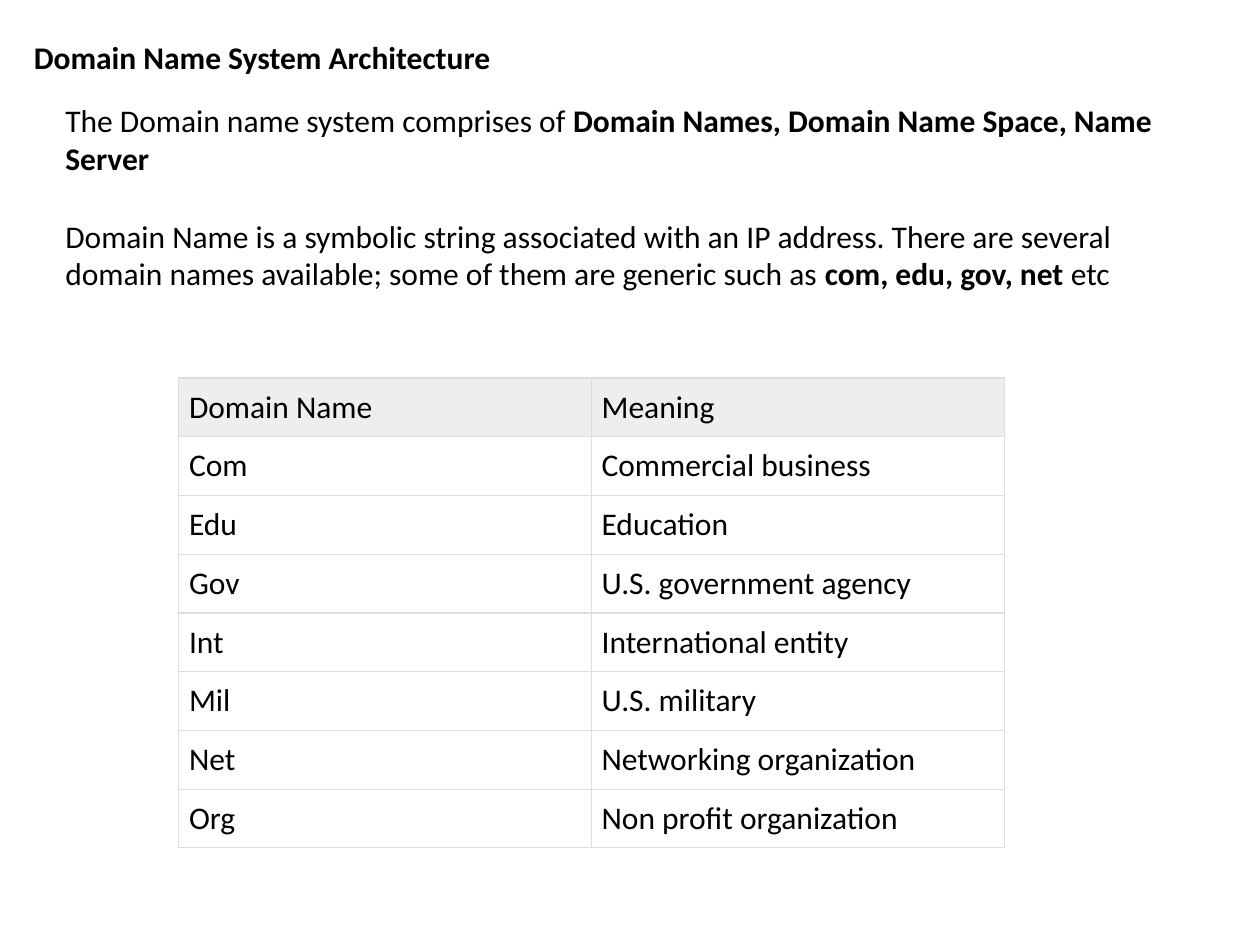
from lxml import etree
from pptx import Presentation
from pptx.dml.color import RGBColor
from pptx.enum.text import MSO_AUTO_SIZE
from pptx.oxml.ns import qn
from pptx.util import Inches, Pt

FIT_SHAPE = MSO_AUTO_SIZE.SHAPE_TO_FIT_TEXT
FONT = {"name": "Calibri", "size": Pt(18)}
BLACK, HEADER_FILL, BORDER = "000000", "EEEEEE", "DDDDDD"

# (left, top, width, height), wrap, runs of (text, bold)
TEXTS = [
    ((0.17, 0.25, 3.86, 0.4), False, [("Domain Name System Architecture", True)]),
    ((0.42, 0.75, 9.08, 0.71), True, [
        ("The Domain name system comprises of ", False),
        ("Domain Names, Domain Name Space, Name Server", True)]),
    ((0.42, 1.67, 8.99, 0.71), True, [
        ("Domain Name is a symbolic string associated with an IP address. "
         "There are several domain names available; some of them are generic such as ", False),
        ("com, edu, gov, net ", True),
        ("etc", False)]),
]

DOMAINS = [
    ("Domain Name", "Meaning"),
    ("Com", "Commercial business"),
    ("Edu", "Education"),
    ("Gov", "U.S. government agency"),
    ("Int", "International entity"),
    ("Mil", "U.S. military"),
    ("Net", "Networking organization"),
    ("Org", "Non profit organization"),
]
TABLE_BOX = (1.42, 3, 6.55, 3.73)
CELL_MARGIN = Inches(0.08)


def rgb(color):
    return RGBColor.from_string(color)


def add_run(p, text, bold=False):
    r = p.add_run()
    r.text = text
    for name, value in {**FONT, "bold": bold}.items():
        setattr(r.font, name, value)
    r.font.color.rgb = rgb(BLACK)


def set_borders(cell):
    tc_pr = cell._tc.get_or_add_tcPr()
    for i, side in enumerate(("lnL", "lnR", "lnT", "lnB")):
        ln = etree.Element(qn(f"a:{side}"), w=str(Pt(0.75)))
        fill = etree.SubElement(ln, qn("a:solidFill"))
        etree.SubElement(fill, qn("a:srgbClr"), val=BORDER)
        tc_pr.insert(i, ln)  # borders come before the cell fill


def add_text(s, box, wrap, runs):
    tf = s.shapes.add_textbox(*map(Inches, box)).text_frame
    tf.word_wrap = wrap
    tf.auto_size = FIT_SHAPE
    for text, bold in runs:
        add_run(tf.paragraphs[0], text, bold)


def add_domain_table(s):
    table = s.shapes.add_table(len(DOMAINS), len(DOMAINS[0]), *map(Inches, TABLE_BOX)).table
    table.horz_banding = False
    table.first_row = False
    for i, row in enumerate(DOMAINS):
        for j, text in enumerate(row):
            cell = table.cell(i, j)
            for side in ("left", "right", "top", "bottom"):
                setattr(cell, f"margin_{side}", CELL_MARGIN)
            if i == 0:
                cell.fill.solid()
                cell.fill.fore_color.rgb = rgb(HEADER_FILL)
            else:
                cell.fill.background()
            set_borders(cell)
            add_run(cell.text_frame.paragraphs[0], text)


def main():
    prs = Presentation()
    prs.slide_width, prs.slide_height = Inches(10), Inches(7.5)
    s = prs.slides.add_slide(prs.slide_layouts[6])
    for box, wrap, runs in TEXTS:
        add_text(s, box, wrap, runs)
    add_domain_table(s)
    prs.save("out.pptx")


if __name__ == "__main__":
    main()
